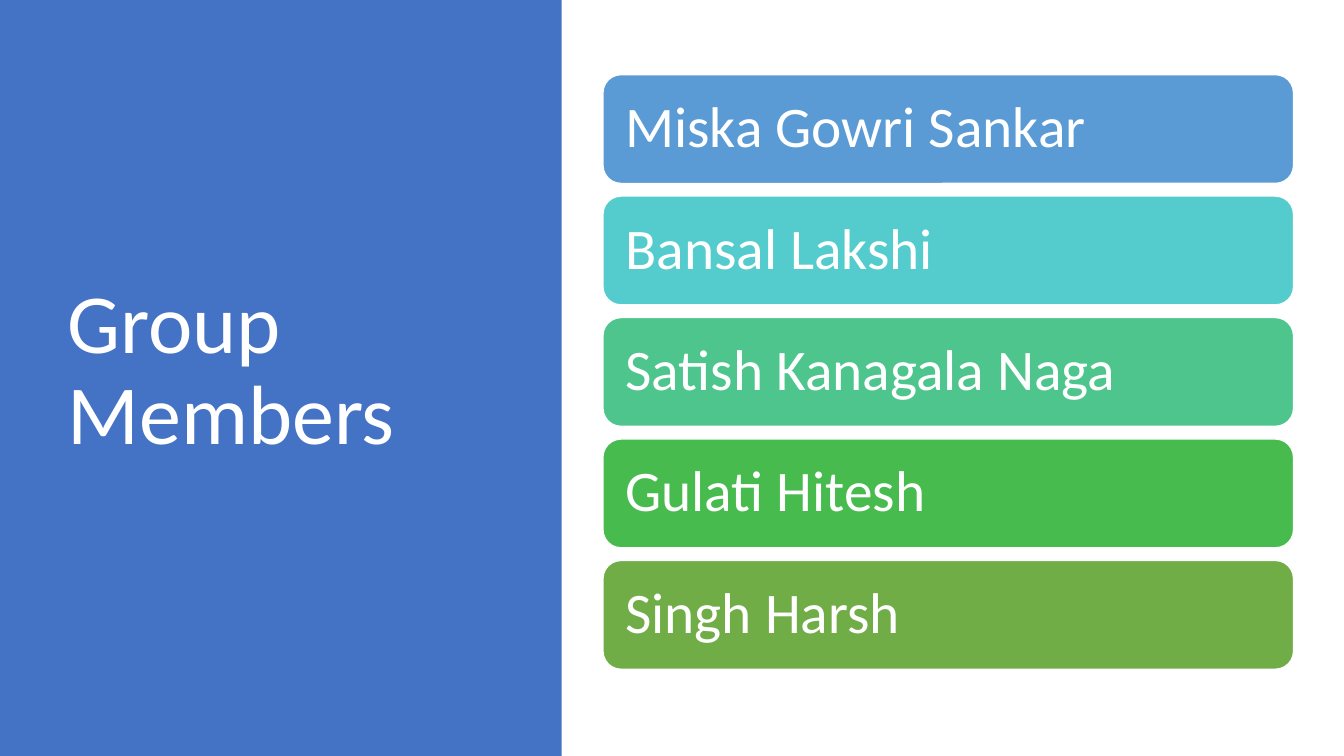
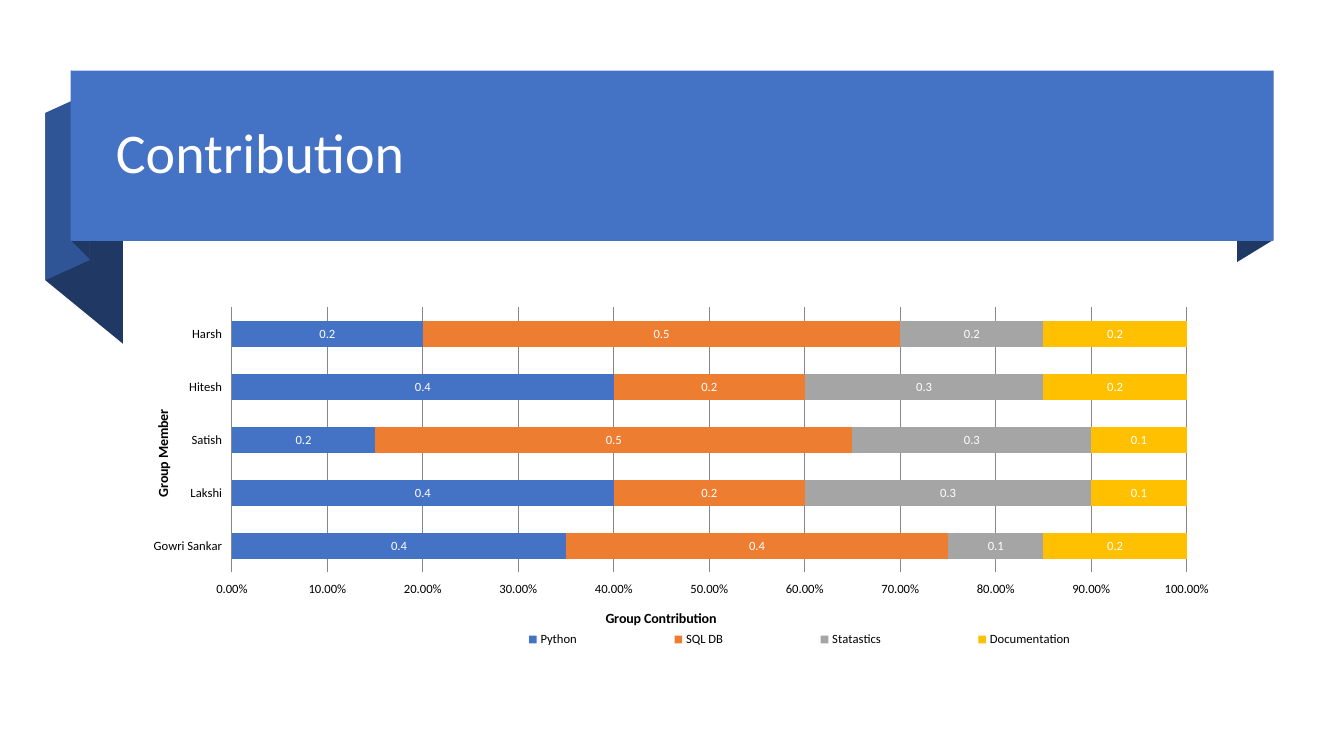
from dataclasses import dataclass

from lxml.etree import SubElement
from pptx import Presentation
from pptx.chart.data import CategoryChartData
from pptx.dml.color import RGBColor
from pptx.enum.chart import XL_CHART_TYPE as ChartType
from pptx.enum.chart import XL_LABEL_POSITION as LabelPosition
from pptx.enum.chart import XL_LEGEND_POSITION as LegendPosition
from pptx.enum.chart import XL_TICK_LABEL_POSITION as TickLabels
from pptx.enum.chart import XL_TICK_MARK as TickMark
from pptx.enum.shapes import MSO_SHAPE as Preset
from pptx.enum.text import MSO_ANCHOR as Anchor
from pptx.enum.text import MSO_AUTO_SIZE as AutoSize
from pptx.enum.text import PP_ALIGN as Align
from pptx.oxml.ns import qn
from pptx.util import Inches, Pt


@dataclass(frozen=True)
class Theme:
    font: str = "Calibri"
    white: str = "FFFFFF"
    black: str = "000000"
    blue: str = "4472C4"
    fold: str = "2F5597"
    navy: str = "203864"
    grid: str = "878787"
    cards: tuple = ("5B9BD5", "54CCCD", "4DC58D", "48BB4F", "70AD47")
    series: tuple = ("4472C4", "ED7D31", "A5A5A5", "FFC000")
    cover_title: int = 60
    title: int = 40
    card: int = 41
    axis_title: int = 10
    chart: int = 9


THEME = Theme()
WIDTH, HEIGHT = 13.33, 7.5
TITLE_ONLY = 5

MEMBERS = ["Miska Gowri Sankar", "Bansal Lakshi", "Satish Kanagala Naga",
           "Gulati Hitesh", "Singh Harsh"]
CATEGORIES = ["Gowri Sankar", "Lakshi", "Satish", "Hitesh", "Harsh"]
SHARES = {
    "Python": (0.35, 0.4, 0.15, 0.4, 0.2),
    "SQL DB": (0.4, 0.2, 0.5, 0.2, 0.5),
    "Statastics": (0.1, 0.3, 0.25, 0.25, 0.15),
    "Documentation": (0.15, 0.1, 0.1, 0.15, 0.15),
}

# Ribbon parts behind the title band, back to front
RIBBON_FOLDS = [
    (THEME.navy, [(1.22, 3.41), (0.45, 2.78), (0.45, 1.12), (1.22, 1.75)]),
    (THEME.fold, [(0.89, 2.58), (0.45, 2.78), (0.45, 1.12), (0.89, 0.92)]),
    (THEME.navy, [(0.89, 2.57), (0.71, 2.39), (0.71, 0.7), (0.89, 0.89)]),
    (THEME.navy, [(12.63, 2.38), (12.27, 2.6), (12.27, 0.91), (12.63, 0.7)]),
]

# Chart frame on the slide, and its parts measured from its top left corner
CHART_BOX = (1.49, 2.72, 10.62, 3.9)
CHART_PARTS = [
    (".//c:plotArea", 0, (0.81, 0.33, 9.47, 2.63)),
    (".//c:legend", 1, (2.83, 3.47, 7.22, 0.31)),
    (".//c:catAx/c:title", 1, (0.01, 1.32)),
    (".//c:valAx/c:title", 1, (4.49, 3.3)),
]


# Shared styling
def style_font(font, size, color, bold=False):
    font.name = THEME.font
    font.size = Pt(size)
    font.bold = bold
    font.color.rgb = RGBColor.from_string(color)


def style_text(text_frame, size):
    text_frame.word_wrap = True
    text_frame.auto_size = AutoSize.NONE
    text_frame.vertical_anchor = Anchor.MIDDLE
    for paragraph in text_frame.paragraphs:
        paragraph.alignment = Align.LEFT
        paragraph.line_spacing = 0.9
        for run in paragraph.runs:
            style_font(run.font, size, THEME.white)


def paint(shape, fill, line=None):
    shape.shadow.inherit = False
    shape.fill.solid()
    shape.fill.fore_color.rgb = RGBColor.from_string(fill)
    if line:
        shape.line.color.rgb = RGBColor.from_string(line)
        shape.line.width = Pt(1)
    else:
        shape.line.fill.background()


# Slide elements
def add_block(slide, preset, box, fill, line=None):
    shape = slide.shapes.add_shape(preset, *map(Inches, box))
    paint(shape, fill, line)
    return shape


def add_fold(slide, color, points):
    start, *corners = [tuple(map(Inches, point)) for point in points]
    builder = slide.shapes.build_freeform(*start)
    builder.add_line_segments(corners, close=True)
    paint(builder.convert_to_shape(), color)


def set_title(slide, text, box, size):
    title = slide.shapes.title
    title.left, title.top, title.width, title.height = map(Inches, box)
    title.text_frame.text = text
    style_text(title.text_frame, size)
    # Bring the title in front of its band
    slide.shapes.element.append(title.element)


def add_cards(slide, names, box, card_height):
    left, top, width, height = box
    pitch = (height - card_height) / (len(names) - 1)
    for row, (name, color) in enumerate(zip(names, THEME.cards)):
        card = add_block(slide, Preset.ROUNDED_RECTANGLE,
                         (left, top + row * pitch, width, card_height),
                         color, THEME.white)
        frame = card.text_frame
        frame.text = name
        frame.margin_left = frame.margin_right = Inches(0.17)
        frame.margin_top = frame.margin_bottom = Inches(0.17)
        style_text(frame, THEME.card)


# Chart parts
def place_chart_part(part, index, box, chart_size):
    """Give a chart part a manual layout; box is in inches."""
    for old in part.findall(qn("c:layout")):
        part.remove(old)
    layout = SubElement(part, qn("c:layout"))
    part.insert(index, layout)
    manual = SubElement(layout, qn("c:manualLayout"))
    if part.tag == qn("c:plotArea"):
        SubElement(manual, qn("c:layoutTarget")).set("val", "inner")
    for mode in ("xMode", "yMode"):
        SubElement(manual, qn(f"c:{mode}")).set("val", "edge")
    for name, length, total in zip("xywh", box, chart_size * 2):
        SubElement(manual, qn(f"c:{name}")).set("val", f"{length / total:.4f}")


def style_axis(axis, title):
    axis.major_tick_mark = axis.minor_tick_mark = TickMark.NONE
    axis.tick_label_position = TickLabels.LOW
    axis.format.line.fill.background()
    style_font(axis.tick_labels.font, THEME.chart, THEME.black)
    frame = axis.axis_title.text_frame
    frame.text = title
    style_font(frame.paragraphs[0].runs[0].font, THEME.axis_title,
               THEME.black, bold=True)


def add_share_chart(slide, box):
    data = CategoryChartData()
    data.categories = CATEGORIES
    for name, values in SHARES.items():
        data.add_series(name, values)
    chart = slide.shapes.add_chart(
        ChartType.BAR_STACKED, *map(Inches, box), data).chart
    chart.has_title = False
    style_font(chart.font, THEME.axis_title, THEME.black)

    # Bars and labels
    plot = chart.plots[0]
    plot.gap_width, plot.overlap = 104, 100
    plot.vary_by_categories = False
    for series, color in zip(plot.series, THEME.series):
        series.format.fill.solid()
        series.format.fill.fore_color.rgb = RGBColor.from_string(color)
    plot.has_data_labels = True
    labels = plot.data_labels
    labels.show_value = True
    labels.position = LabelPosition.CENTER
    labels.number_format = "#,##0.0"
    labels.number_format_is_linked = False
    style_font(labels.font, THEME.chart, THEME.white)

    # Axes
    style_axis(chart.category_axis, "Group Member")
    value_axis = chart.value_axis
    style_axis(value_axis, "Group Contribution")
    value_axis.minimum_scale, value_axis.maximum_scale = 0, 1
    value_axis.major_unit = 0.1
    value_axis.tick_labels.number_format = "0.00%"
    value_axis.tick_labels.number_format_is_linked = False
    grid_line = value_axis.major_gridlines.format.line
    grid_line.color.rgb = RGBColor.from_string(THEME.grid)
    grid_line.width = Pt(0.75)

    # Legend
    chart.has_legend = True
    chart.legend.position = LegendPosition.BOTTOM
    chart.legend.include_in_layout = False
    style_font(chart.legend.font, THEME.chart, THEME.black)

    # Layout
    find = chart.element.xpath
    find(".//c:catAx/c:title//a:bodyPr")[0].set("rot", "-5400000")
    for query, index, part_box in CHART_PARTS:
        place_chart_part(find(query)[0], index, part_box, box[2:])


# Slides
def build_members(slide):
    add_block(slide, Preset.RECTANGLE, (0, 0, 5.57, HEIGHT), THEME.blue)
    set_title(slide, "Group Members", (0.57, 0.68, 4.16, 6.02),
              THEME.cover_title)
    add_cards(slide, MEMBERS, (5.98, 0.74, 6.85, 5.9), 1.08)


def build_contribution(slide):
    for color, points in RIBBON_FOLDS:
        add_fold(slide, color, points)
    add_block(slide, Preset.RECTANGLE, (0.7, 0.7, 11.93, 1.69), THEME.blue)
    set_title(slide, "Contribution", (1.05, 0.88, 11.23, 1.33), THEME.title)
    add_share_chart(slide, CHART_BOX)


def main():
    presentation = Presentation()
    presentation.slide_width = Inches(WIDTH)
    presentation.slide_height = Inches(HEIGHT)
    layout = presentation.slide_layouts[TITLE_ONLY]
    for build in (build_members, build_contribution):
        build(presentation.slides.add_slide(layout))
    presentation.save("out.pptx")


if __name__ == "__main__":
    main()
